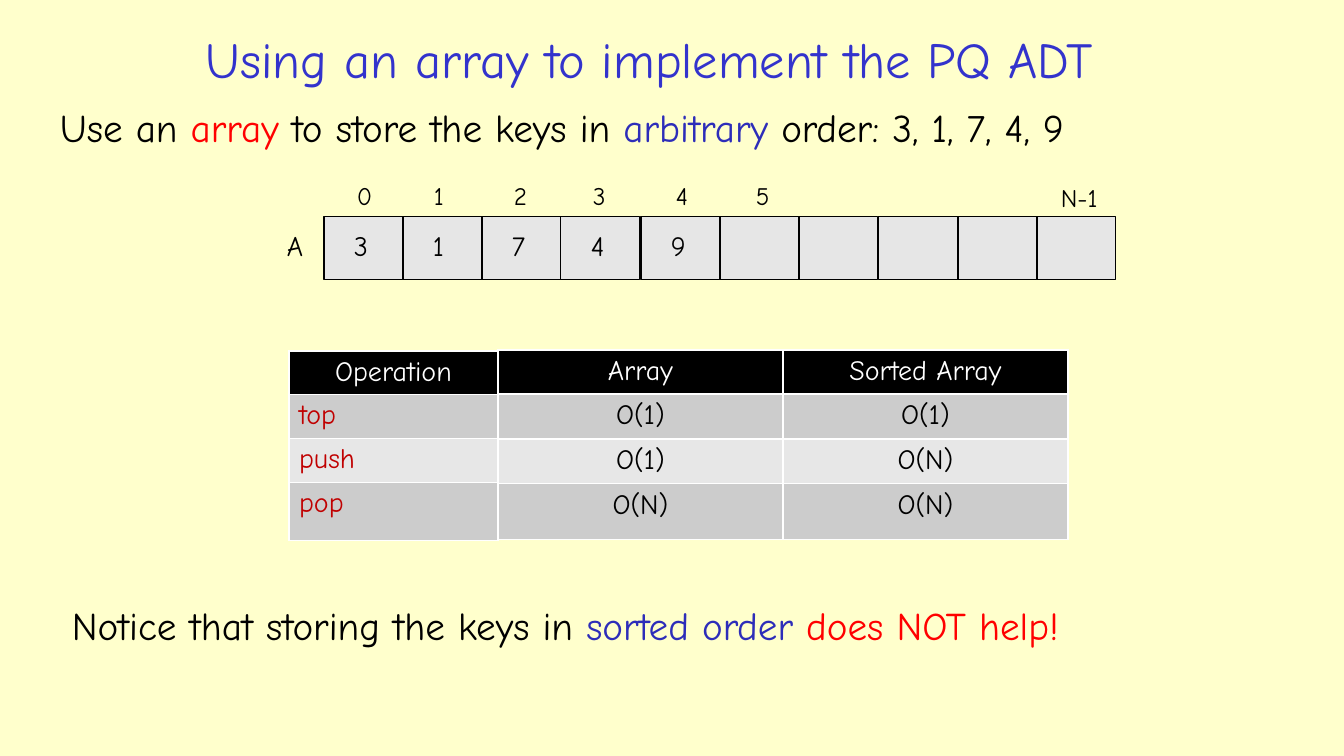
from lxml.etree import SubElement
from pptx import Presentation
from pptx.dml.color import RGBColor
from pptx.enum.shapes import MSO_SHAPE
from pptx.enum.text import MSO_ANCHOR, MSO_AUTO_SIZE, PP_ALIGN
from pptx.oxml.ns import qn
from pptx.util import Pt

EMU_PER_PX = 914400 / 100.8
CREAM = RGBColor(0xFF, 0xFF, 0xCC)
TITLE_BLUE = RGBColor(0x33, 0x33, 0xCC)
BLUE = RGBColor(0x2D, 0x2D, 0xB9)
RED = RGBColor(0xFF, 0x00, 0x00)
DARK_RED = RGBColor(0xC0, 0x00, 0x00)
BLACK = RGBColor(0x00, 0x00, 0x00)
WHITE = RGBColor(0xFF, 0xFF, 0xFF)
CELL_GREY = RGBColor(0xE6, 0xE6, 0xE6)
ROW_FILLS = [BLACK, RGBColor(0xCC, 0xCC, 0xCC), RGBColor(0xE7, 0xE7, 0xE7),
             RGBColor(0xCC, 0xCC, 0xCC)]


def px(*lengths):
    return [round(n * EMU_PER_PX) for n in lengths]


class SlideBuilder:
    font = "Comic Neue"

    def __init__(self, prs):
        self.s = prs.slides.add_slide(prs.slide_layouts[5])
        self.s.background.fill.solid()
        self.s.background.fill.fore_color.rgb = CREAM

    def style(self, r, size, color):
        r.font.name = self.font
        r.font.size = Pt(size)
        r.font.bold = False
        r.font.color.rgb = color

    def title(self, text, *box):
        sp = self.s.shapes.title
        sp.left, sp.top, sp.width, sp.height = px(*box)
        tf = sp.text_frame
        tf.text = text
        tf.vertical_anchor = MSO_ANCHOR.MIDDLE
        p = tf.paragraphs[0]
        p.alignment = PP_ALIGN.CENTER
        self.style(p.runs[0], 36, TITLE_BLUE)

    def sentence(self, parts, *box):
        """Add one line of text made of (text, colour) parts."""
        tf = self.s.shapes.add_textbox(*px(*box)).text_frame
        tf.word_wrap = True
        p = tf.paragraphs[0]
        p.line_spacing = 0.9
        p.space_before = Pt(5.6)
        for text, color in parts:
            r = p.add_run()
            r.text = text
            self.style(r, 28, color)

    def label(self, text, size, *box):
        tf = self.s.shapes.add_textbox(*px(*box)).text_frame
        tf.word_wrap = False
        tf.auto_size = MSO_AUTO_SIZE.SHAPE_TO_FIT_TEXT
        tf.text = text
        self.style(tf.paragraphs[0].runs[0], size, BLACK)

    def array_cell(self, *box):
        sp = self.s.shapes.add_shape(MSO_SHAPE.RECTANGLE, *px(*box))
        sp.shadow.inherit = False
        sp.fill.solid()
        sp.fill.fore_color.rgb = CELL_GREY
        sp.line.color.rgb = BLACK
        sp.line.width = Pt(0.75)

    def table_column(self, texts, left, top, width, heights, color, align):
        """Add a one-column table with a header and banded rows."""
        frame = self.s.shapes.add_table(
            len(texts), 1, *px(left, top, width, sum(heights)))
        table = frame.table
        for i, (text, fill, height) in enumerate(zip(texts, ROW_FILLS, heights)):
            table.rows[i].height = px(height)[0]
            cell = table.cell(i, 0)
            self.cell_borders(cell)
            cell.fill.solid()
            cell.fill.fore_color.rgb = fill
            cell.text = text
            p = cell.text_frame.paragraphs[0]
            p.alignment = align if i else PP_ALIGN.CENTER
            self.style(p.runs[0], 20, color if i else WHITE)

    def cell_borders(self, cell):
        tc_pr = cell._tc.get_or_add_tcPr()
        for side in ("a:lnL", "a:lnR", "a:lnT", "a:lnB"):
            ln = SubElement(tc_pr, qn(side), w=str(Pt(1)))
            fill = SubElement(ln, qn("a:solidFill"))
            SubElement(fill, qn("a:srgbClr"), val=str(WHITE))


def main():
    prs = Presentation()
    prs.slide_width, prs.slide_height = px(1344, 756)
    b = SlideBuilder(prs)

    b.title("Using an array to implement the PQ ADT", 62, 27, 1175, 63)
    b.sentence([("Use an ", BLACK), ("array", RED),
                (" to store the keys in ", BLACK), ("arbitrary ", BLUE),
                ("order: 3, 1, 7, 4, 9", BLACK)], 50, 104, 1212, 71)

    lefts = [324 + 793 * i // 10 for i in range(10)]
    for left in lefts:
        b.array_cell(left, 217, 79, 63)
    for value, left in zip("31749", lefts):
        b.label(value, 20, left + 20, 224, 37, 44)
    for index, left in enumerate([347, 424, 504, 583, 666, 746]):
        b.label(str(index), 18, left, 175, 36, 40)
    b.label("N-1", 18, 1051, 177, 62, 40)
    b.label("A", 20, 277, 224, 41, 44)

    b.table_column(["Operation", "top", "push", "pop"],
                   289, 351, 209, [42, 42, 43, 58], DARK_RED, PP_ALIGN.LEFT)
    for left, texts in [(498, ["Array", "O(1)", "O(1)", "O(N)"]),
                        (783, ["Sorted Array", "O(1)", "O(N)", "O(N)"])]:
        b.table_column(texts, left, 350, 285, [44, 45, 45, 56],
                       BLACK, PP_ALIGN.CENTER)

    b.sentence([("Notice that storing the keys in ", BLACK),
                ("sorted order ", BLUE), ("does NOT help!", RED)],
               62, 602, 1212, 71)
    prs.save("out.pptx")


if __name__ == "__main__":
    main()
